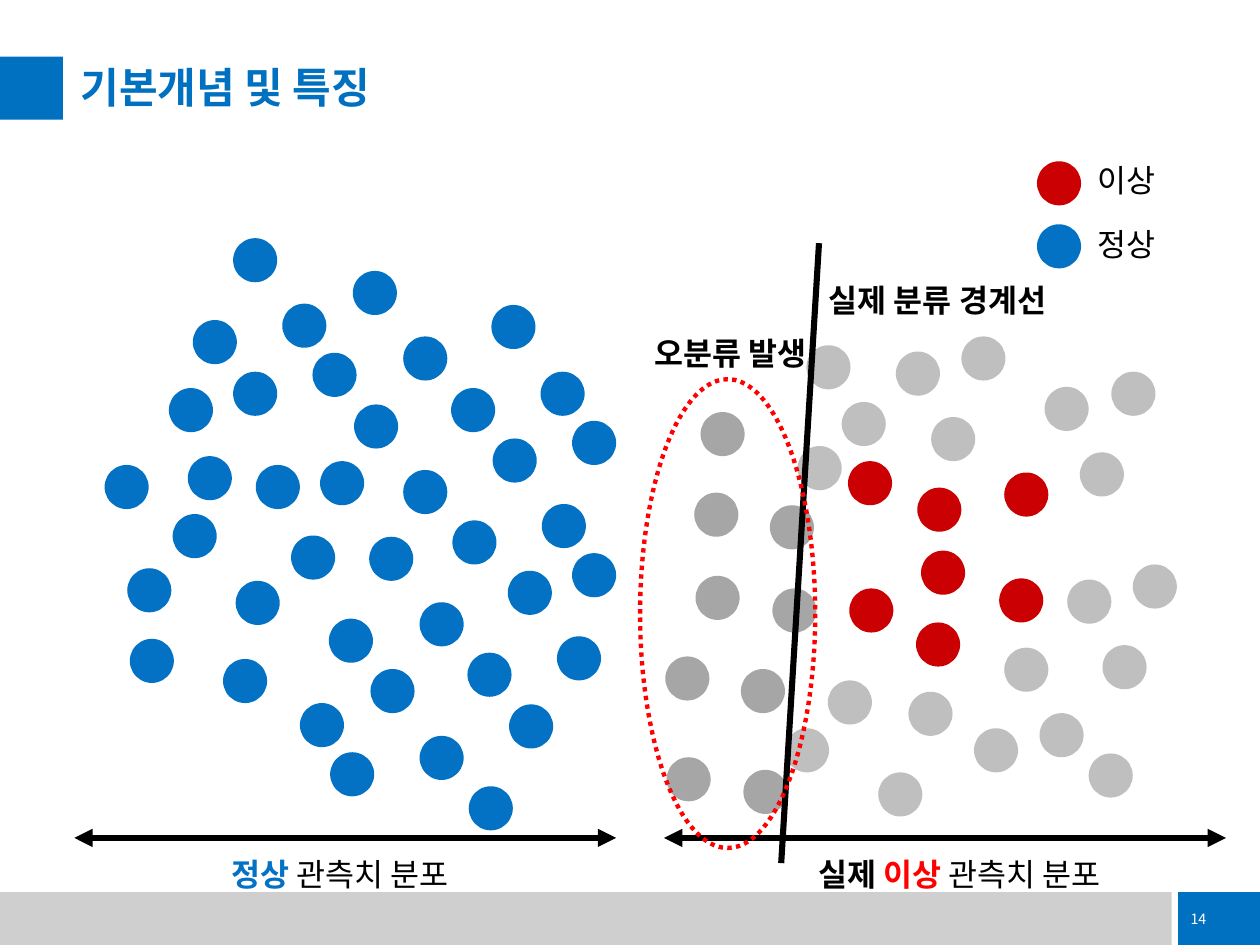
"""Build the slide on normal and abnormal observation distributions."""
from typing import NamedTuple

from lxml import etree
from pptx import Presentation
from pptx import util as u
from pptx.dml.color import RGBColor
from pptx.enum import dml, shapes, text
from pptx.oxml.ns import qn

FONT = "Noto Sans CJK KR"
BLUE, DOT_BLUE, DOT_RED = "0070C0", "0472C4", "CB0002"
RED, BLACK, WHITE = "FF0000", "000000", "FFFFFF"
DARK_GRAY, LIGHT_GRAY, FOOTER_GRAY = "A6A6A6", "BFBFBF", "CFCFCF"
DOT_SIZE = 0.35


class Box(NamedTuple):
    left: float
    top: float
    width: float
    height: float


class Span(NamedTuple):
    words: str
    color: str = BLACK
    bold: bool = False


class Label(NamedTuple):
    box: Box
    spans: list[Span]
    centered: bool = False


class Line(NamedTuple):
    start: tuple[float, float]
    end: tuple[float, float]
    arrows: bool = False


class DotGroup(NamedTuple):
    color: str
    corners: list[tuple[float, float]]


DOT_GROUPS = [
    DotGroup(DOT_BLUE, [
        (8.23, 1.78),
        (1.85, 1.89), (2.24, 2.41), (1.53, 2.54), (2.8, 2.15), (3.2, 2.67), (2.48, 2.8),
        (1.85, 2.95), (2.54, 3.66), (2.03, 3.69), (2.81, 3.21), (3.2, 3.73), (2.31, 4.25),
        (1.03, 5.07), (2.93, 4.26), (3.33, 4.78), (2.61, 4.91), (1.87, 4.61), (2.38, 5.58),
        (1.77, 5.23), (2.94, 5.31), (3.33, 5.84), (2.62, 5.97), (3.9, 2.42), (4.29, 2.95),
        (3.58, 3.08), (4.54, 3.34), (3.91, 3.48), (4.3, 4), (3.59, 4.13), (4.54, 4.39),
        (4.03, 4.53), (4.42, 5.05), (3.71, 5.18), (4.04, 5.59), (3.72, 6.24), (1.37, 4.08),
        (1.34, 3.08), (1.49, 3.62), (1.01, 4.51), (0.83, 3.69),
    ]),
    DotGroup(DOT_RED, [
        (8.23, 1.28),
        (6.73, 3.66), (7.97, 3.75), (7.28, 3.87), (6.74, 4.67), (7.31, 4.37), (7.93, 4.59),
        (7.27, 4.94),
    ]),
    DotGroup(LIGHT_GRAY, [
        (6.57, 5.4), (6.4, 2.74), (6.68, 3.19), (6.23, 5.78), (7.21, 5.49), (6.97, 6.13),
        (7.97, 5.14), (7.73, 5.78), (8.25, 5.66), (8.64, 5.98), (8.47, 4.6), (8.99, 4.48),
        (8.75, 5.12), (7.11, 2.79), (7.63, 2.67), (7.39, 3.31), (8.29, 3.07), (8.82, 2.95),
        (8.57, 3.59), (6.33, 3.54),
    ]),
    DotGroup(DARK_GRAY, [
        (6.11, 4.01), (6.13, 4.67), (5.88, 5.31), (5.9, 6.11), (5.51, 3.91), (5.52, 4.57),
        (5.28, 5.21), (5.56, 3.27), (5.29, 6.01),
    ]),
]

LINES = [
    Line((0.59, 6.65), (4.89, 6.65), arrows=True),
    Line((5.27, 6.65), (9.73, 6.65), arrows=True),
    Line((6.5, 1.93), (6.2, 6.85)),
]

LABELS = [
    Label(Box(8.61, 1.23, 1.15, 0.4), [Span("이상")]),
    Label(Box(8.61, 1.74, 1.15, 0.4), [Span("정상")]),
    Label(Box(1.37, 6.74, 2.66, 0.4),
          [Span("정상", DOT_BLUE, True), Span(" 관측치 분포")], centered=True),
    Label(Box(5.01, 2.6, 1.58, 0.4), [Span("오분류 발생", bold=True)], centered=True),
    Label(Box(6.15, 6.74, 2.93, 0.4),
          [Span("실제", bold=True), Span(" 이상", RED, True), Span(" 관측치 분포")],
          centered=True),
    Label(Box(6.48, 2.18, 2.82, 0.4), [Span("실제 분류 경계선", bold=True)]),
]


def rgb(color: str) -> RGBColor:
    """Turn a hex string into a colour."""
    return RGBColor.from_string(color)


def inches(*lengths: float) -> list[u.Length]:
    """Turn numbers into lengths in inches."""
    return [u.Inches(length) for length in lengths]


def add_span(para, words: str, *, size: float = 18, color: str = BLACK, bold: bool = False):
    """Append a formatted run to a paragraph."""
    span = para.add_run()
    span.text = words
    span.font.size = u.Pt(size)
    span.font.bold = bold
    span.font.name = FONT
    span.font.color.rgb = rgb(color)
    etree.SubElement(span.font._element, qn("a:ea"), typeface=FONT)


def add_filled(page, kind, box: Box, color: str):
    """Draw a preset shape with a plain fill and no outline."""
    shape = page.shapes.add_shape(kind, *inches(*box))
    shape.shadow.inherit = False
    shape.fill.solid()
    shape.fill.fore_color.rgb = rgb(color)
    shape.line.fill.background()
    return shape


def add_frame(page) -> None:
    """Draw the title marker and the footer with its page number."""
    rectangle = shapes.MSO_SHAPE.RECTANGLE
    add_filled(page, rectangle, Box(0, 7.08, 9.3, 0.42), FOOTER_GRAY)
    add_filled(page, rectangle, Box(0, 0.45, 0.5, 0.5), BLUE)
    number = add_filled(page, rectangle, Box(9.35, 7.08, 0.65, 0.42), BLUE)
    number.text_frame.vertical_anchor = text.MSO_ANCHOR.MIDDLE
    para = number.text_frame.paragraphs[0]
    para.alignment = text.PP_ALIGN.LEFT
    add_span(para, "14", size=8.1, color=WHITE)


def set_title(page, words: str) -> None:
    """Place and format the title placeholder."""
    title = page.shapes.title
    title.left, title.top, title.width, title.height = inches(0.64, 0.51, 9.01, 0.38)
    frame = title.text_frame
    frame.margin_left = frame.margin_right = frame.margin_top = frame.margin_bottom = 0
    frame.auto_size = text.MSO_AUTO_SIZE.NONE
    frame.vertical_anchor = text.MSO_ANCHOR.BOTTOM
    para = frame.paragraphs[0]
    para.alignment = text.PP_ALIGN.LEFT
    para.line_spacing = 0.9
    add_span(para, words, size=24, color=BLUE, bold=True)


def add_line(page, line: Line) -> None:
    """Draw a straight black line, with arrowheads if asked."""
    connector = page.shapes.add_connector(
        shapes.MSO_CONNECTOR.STRAIGHT, *inches(*line.start, *line.end))
    connector.line.color.rgb = rgb(BLACK)
    connector.line.width = u.Pt(3.5)
    if line.arrows:
        outline = connector.line._get_or_add_ln()
        for end in ("a:headEnd", "a:tailEnd"):
            etree.SubElement(outline, qn(end), type="triangle")
    etree.SubElement(connector._element.spPr, qn("a:effectLst"))


def add_misclassified_ring(page) -> None:
    """Draw the dotted ellipse around the misclassified dots."""
    ring = page.shapes.add_shape(shapes.MSO_SHAPE.OVAL, *inches(5.08, 3.01, 1.39, 3.72))
    ring.shadow.inherit = False
    ring.fill.background()
    ring.line.color.rgb = rgb(RED)
    ring.line.width = u.Pt(2.5)
    ring.line.dash_style = dml.MSO_LINE.ROUND_DOT


def add_label(page, label: Label) -> None:
    """Write one text box from its spans."""
    frame = page.shapes.add_textbox(*inches(*label.box)).text_frame
    frame.word_wrap = True
    frame.auto_size = text.MSO_AUTO_SIZE.SHAPE_TO_FIT_TEXT
    para = frame.paragraphs[0]
    para.alignment = text.PP_ALIGN.CENTER if label.centered else text.PP_ALIGN.LEFT
    for span in label.spans:
        add_span(para, span.words, color=span.color, bold=span.bold)


def main() -> None:
    """Build and save the deck."""
    deck = Presentation()
    deck.slide_width, deck.slide_height = inches(10, 7.5)
    page = deck.slides.add_slide(deck.slide_layouts.get_by_name("Title Only"))
    add_frame(page)
    set_title(page, "기본개념 및 특징")
    for group in DOT_GROUPS:
        for corner in group.corners:
            add_filled(page, shapes.MSO_SHAPE.OVAL, Box(*corner, DOT_SIZE, DOT_SIZE), group.color)
    for line in LINES:
        add_line(page, line)
    add_misclassified_ring(page)
    for label in LABELS:
        add_label(page, label)
    deck.save("out.pptx")


if __name__ == "__main__":
    main()
